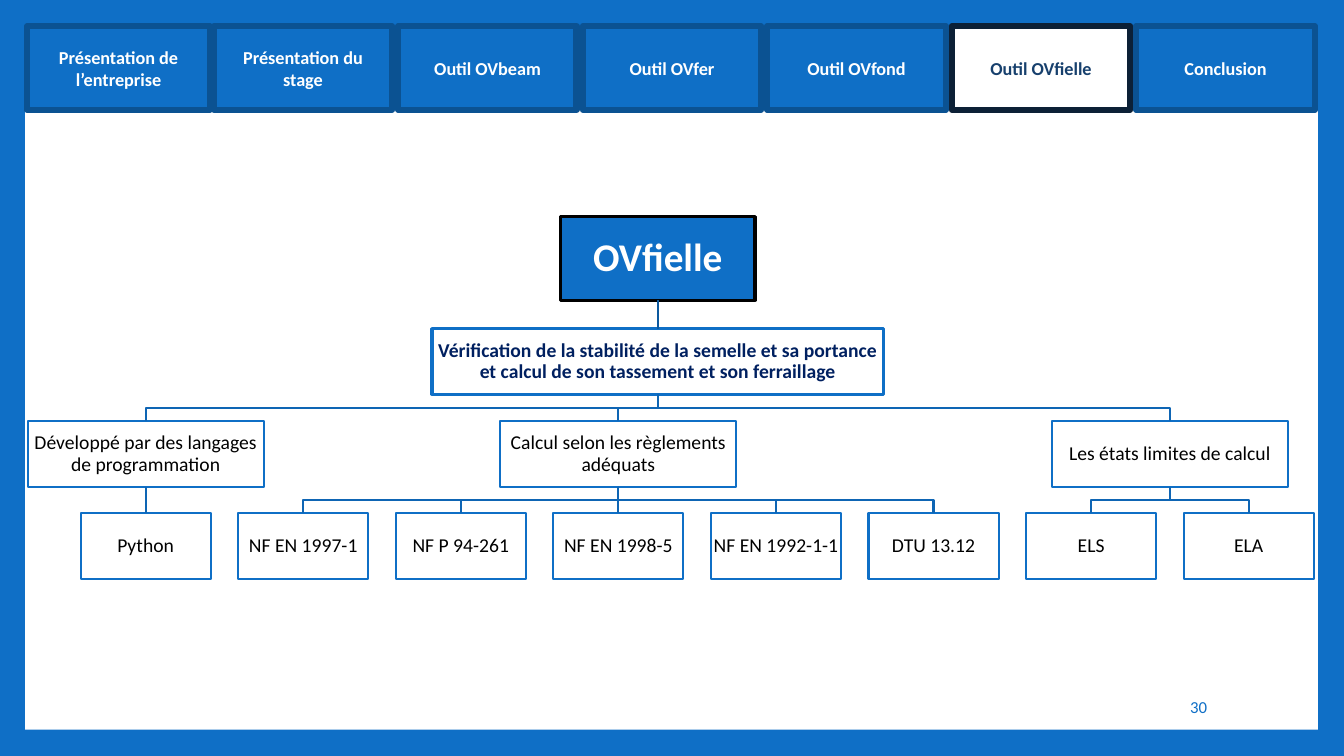
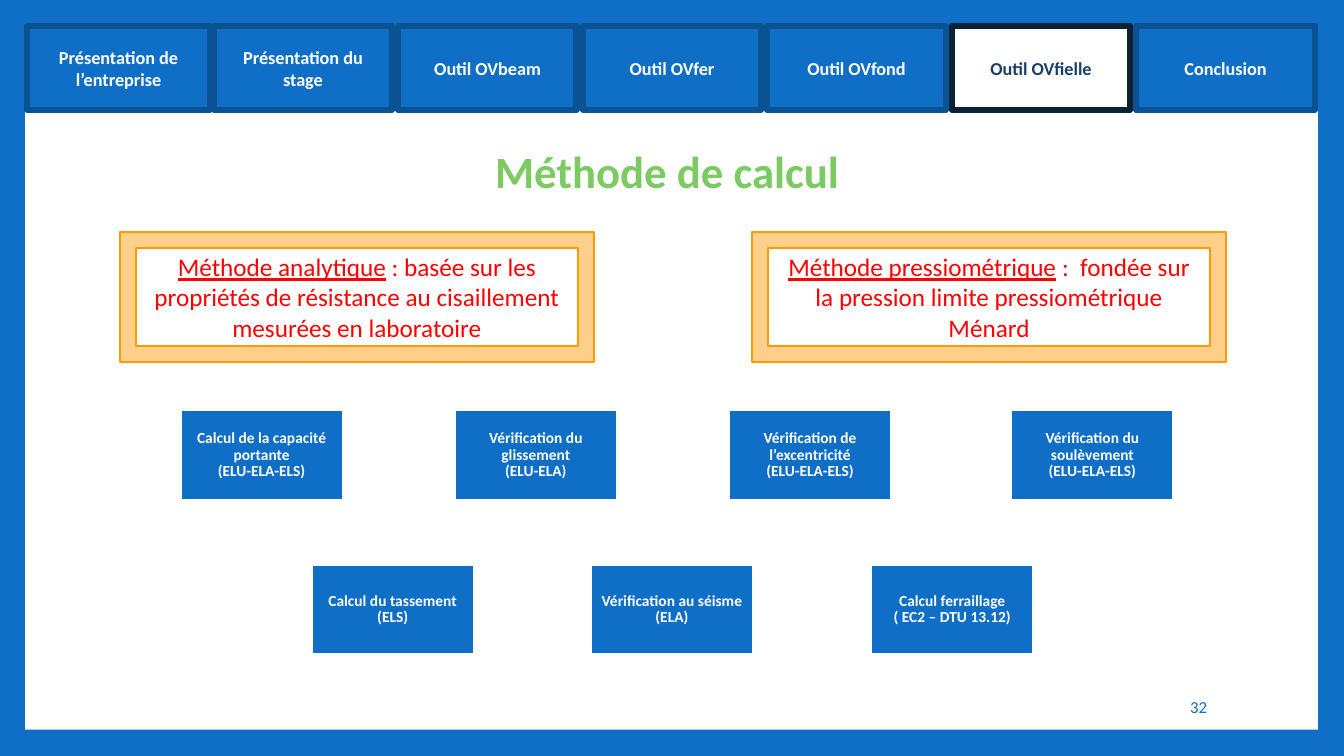
from lxml import etree
from pptx import Presentation
from pptx import util as u
from pptx.dml.color import RGBColor
from pptx.enum import shapes, text
from pptx.oxml import ns

C = {
    "blue": "0F6FC6", "tab_line": "0B5292", "active_line": "0C2036", "active_text": "17406D",
    "edge": "0E65B4", "root_edge": "0C599F", "navy": "002060", "green": "7CCA62",
    "amber": "FFD08B", "orange": "FF9900", "red": "FF0000", "white": "FFFFFF", "black": "000000",
}
RGB = {name: RGBColor.from_string(value) for name, value in C.items()}
FONT = "Calibri"
TOOL = "OVfielle"
ACTIVE = f"Outil {TOOL}"
TABS = ["Présentation de l’entreprise", "Présentation du stage", "Outil OVbeam", "Outil OVfer",
        "Outil OVfond", ACTIVE, "Conclusion"]


def add_box(s, x, y, w, h, label, fill, line, pt, size, color, bold=False, inset=None,
            kind=shapes.MSO_SHAPE.RECTANGLE):
    sp = s.shapes.add_shape(kind, u.Inches(x), u.Inches(y), u.Inches(w), u.Inches(h))
    sp.shadow.inherit = False
    sp.fill.solid()
    sp.fill.fore_color.rgb = RGB[fill]
    sp.line.color.rgb = RGB[line]
    sp.line.width = u.Pt(pt)
    tf = sp.text_frame
    tf.word_wrap = True
    tf.vertical_anchor = text.MSO_ANCHOR.MIDDLE
    p = tf.paragraphs[0]
    p.text = label
    p.alignment = text.PP_ALIGN.CENTER
    p.font.name, p.font.size, p.font.bold = FONT, u.Pt(size), bold
    p.font.color.rgb = RGB[color]
    if inset is not None:
        tf.margin_left = tf.margin_right = tf.margin_top = tf.margin_bottom = u.Inches(inset)
        p.line_spacing = 0.9
    return sp


def add_edge(s, parent, child, color="edge"):
    x1, y1 = parent.left + parent.width // 2, parent.top + parent.height
    x2, y2 = child.left + child.width // 2, child.top
    if abs(x1 - x2) < u.Inches(0.01):
        ln = s.shapes.add_connector(shapes.MSO_CONNECTOR.STRAIGHT, x1, y1, x2, y2)
        ln.begin_connect(parent, 2)
        ln.end_connect(child, 0)
    else:
        mid = (y1 + y2) // 2
        fb = s.shapes.build_freeform(x1, y1)
        fb.add_line_segments([(x1, mid), (x2, mid), (x2, y2)], close=False)
        ln = fb.convert_to_shape()
        ln.fill.background()
    ln.line.color.rgb = RGB[color]
    ln.line.width = u.Pt(1.5)
    etree.SubElement(ln.element.spPr, ns.qn("a:effectLst"))


prs = Presentation()
prs.slide_width, prs.slide_height = u.Inches(13.33), u.Inches(7.5)
master = prs.slide_master
master.background.fill.solid()
master.background.fill.fore_color.rgb = RGB["blue"]

tree = prs.slides.add_slide(prs.slide_layouts[6])
method = prs.slides.add_slide(prs.slide_layouts[5])

panel = add_box(tree, 0.25, 0.27, 12.82, 6.97, "", "white", "white", 1, 12, "black")
panel.line.fill.background()
panel.element.nvSpPr.cNvPr.set("id", "20")
master.shapes.element.append(panel.element)

for s, number in ((tree, "30"), (method, "32")):
    for i, label in enumerate(TABS):
        x, w = (0.27, 1.81) if i == 0 else (2.12 + 1.83 * (i - 1), 1.77)
        fill, line, color = (("white", "active_line", "active_text") if label == ACTIVE
                             else ("blue", "tab_line", "white"))
        add_box(s, x, 0.26, w, 0.83, label, fill, line, 4.5, 13, color, True)
    tf = s.shapes.add_textbox(u.Inches(10.2), u.Inches(6.81), u.Inches(1.87), u.Inches(0.4)).text_frame
    tf.word_wrap = True
    tf.vertical_anchor = text.MSO_ANCHOR.MIDDLE
    p = tf.paragraphs[0]
    p.text = number
    p.alignment = text.PP_ALIGN.RIGHT
    p.font.name, p.font.size = FONT, u.Pt(12)
    p.font.color.rgb = RGB["blue"]

BRANCHES = [
    ("Développé par des langages de programmation", ["Python"]),
    ("Calcul selon les règlements adéquats",
     ["NF EN 1997-1", "NF P 94-261", "NF EN 1998-5", "NF EN 1992-1-1", "DTU 13.12"]),
    ("Les états limites de calcul", ["ELS", "ELA"]),
]
LEAF_X, LEAF_W, BRANCH_W, BOX_H = 0.8, 1.29, 2.34, 0.65
PITCH = (11.74 - LEAF_X) / 7
centers = []
first = 0
for label, leaves in BRANCHES:
    centers.append(LEAF_X + LEAF_W / 2 + PITCH * (first + (len(leaves) - 1) / 2))
    first += len(leaves)
middle = (centers[0] + centers[-1]) / 2

root = add_box(tree, middle - 1.93 / 2, 2.15, 1.93, 0.83, TOOL,
               "blue", "black", 2.25, 28, "white", True, 0.02)
goal = add_box(tree, middle - 4.48 / 2, 3.26, 4.48, BOX_H,
               "Vérification de la stabilité de la semelle et sa portance "
               "et calcul de son tassement et son ferraillage",
               "white", "blue", 2.25, 14, "navy", True, 0.01)
add_edge(tree, root, goal, "root_edge")
first = 0
for center, (label, leaves) in zip(centers, BRANCHES):
    branch = add_box(tree, center - BRANCH_W / 2, 4.18, BRANCH_W, BOX_H, label,
                     "white", "blue", 1.5, 14, "black", inset=0.01)
    add_edge(tree, goal, branch)
    for i, name in enumerate(leaves, first):
        leaf = add_box(tree, LEAF_X + PITCH * i, 5.09, LEAF_W, BOX_H, name,
                       "white", "blue", 1.5, 14, "black", inset=0.01)
        add_edge(tree, branch, leaf)
    first += len(leaves)

title = method.shapes.title
title.left, title.top = u.Inches(4.81), u.Inches(1.37)
title.width, title.height = u.Inches(3.72), u.Inches(0.64)
tf = title.text_frame
tf.word_wrap = False
tf.auto_size = text.MSO_AUTO_SIZE.NONE
p = tf.paragraphs[0]
p.text = "Méthode de calcul"
p.alignment = text.PP_ALIGN.LEFT
p.font.name, p.font.size, p.font.bold = FONT, u.Pt(32), True
p.font.color.rgb = RGB["green"]

METHODS = [
    (1.19, "Méthode analytique",
     " : basée sur les propriétés de résistance au cisaillement mesurées en laboratoire"),
    (7.46, "Méthode pressiométrique", " :  fondée sur la pression limite pressiométrique Ménard"),
]
for x, name, detail in METHODS:
    sp = add_box(method, x, 2.3, 4.7, 1.29, name, "amber", "orange", 1.5, 18, "red",
                 kind=shapes.MSO_SHAPE.FRAME)
    p = sp.text_frame.paragraphs[0]
    p.runs[0].font.underline = True
    p.add_run().text = detail

CHECKS = [
    (4.07, [(1.79, "Calcul de la capacité portante\n(ELU-ELA-ELS)"),
            (4.51, "Vérification du glissement\n(ELU-ELA)"),
            (7.23, "Vérification de l’excentricité\n(ELU-ELA-ELS)"),
            (10.03, "Vérification du soulèvement\n(ELU-ELA-ELS)")]),
    (5.6, [(3.09, "Calcul du tassement\n(ELS)"),
           (5.86, "Vérification au séisme (ELA)"),
           (8.64, "Calcul ferraillage\n( EC2 – DTU 13.12)")]),
]
for y, row in CHECKS:
    for x, label in row:
        add_box(method, x, y, 1.61, 0.89, label, "blue", "white", 1.5, 11, "white", True, 0.01)

prs.save("out.pptx")
